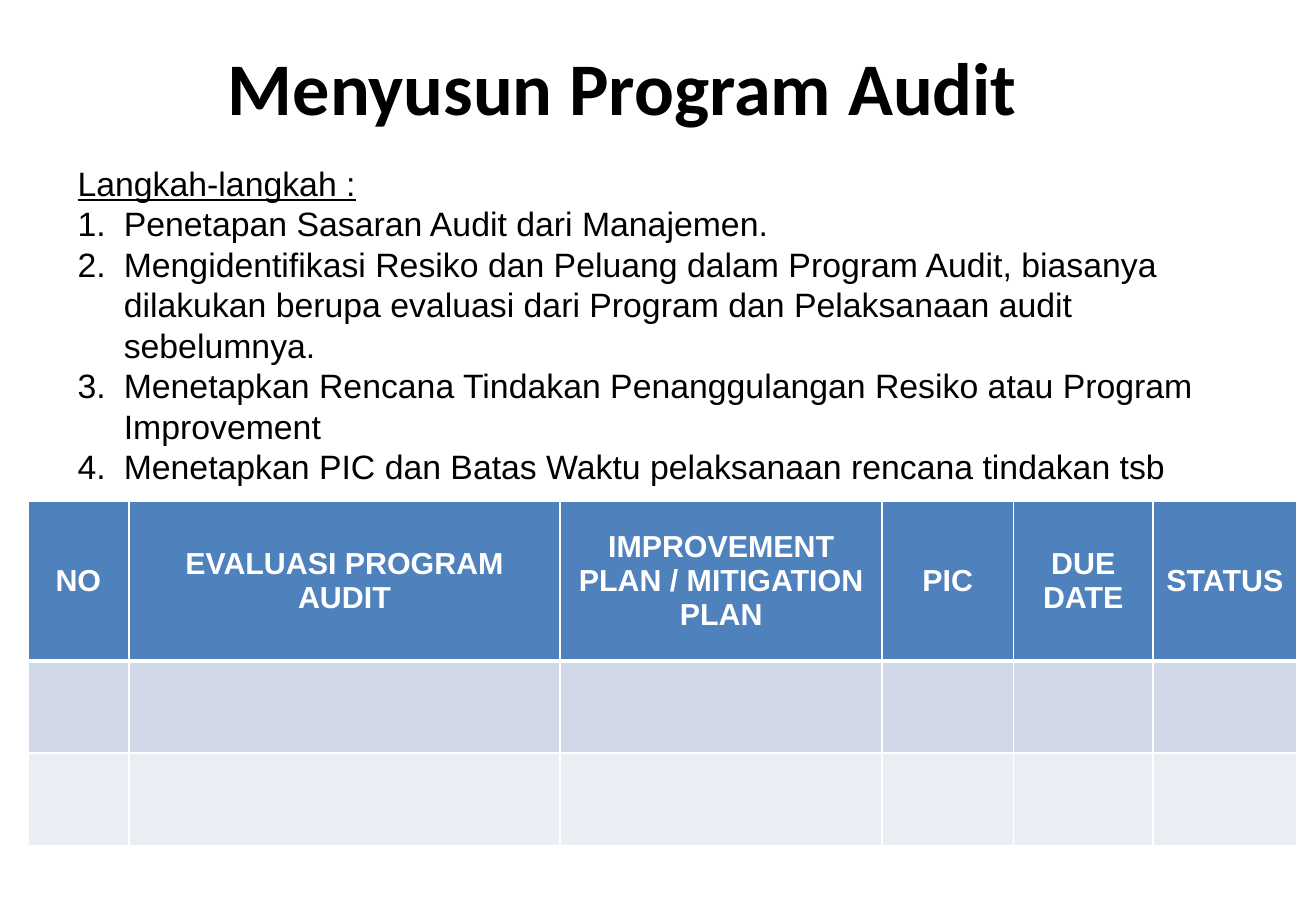
from dataclasses import dataclass

from lxml.etree import SubElement
from pptx import Presentation
from pptx.dml.color import RGBColor as Color
from pptx.enum.text import MSO_ANCHOR as Anchor, PP_ALIGN as Align
from pptx.oxml.ns import qn
from pptx.util import Inches, Pt


@dataclass(frozen=True)
class Theme:
    heading_font: str = "Calibri"
    body_font: str = "Arial"
    ink: str = "000000"
    paper: str = "FFFFFF"
    header: str = "4F81BD"
    bands: tuple = ("D0D8E8", "E9EDF4")
    title_size: int = 44
    body_size: int = 20
    header_size: int = 18
    rule: int = 1
    header_rule: int = 3


THEME = Theme()
SLIDE_SIZE = (10.83, 7.5)
TITLE_BOX = (0.54, -0.02, 9.31, 1.45)
STEPS_BOX = (0.54, 1.29, 9.58, 2.46)
TABLE_BOX = (0.23, 4.13, 10.44, 2.83)
NUMBER_INDENT = 0.38

TITLE = "Menyusun Program Audit "
STEPS_HEADING = "Langkah-langkah :"
STEPS = (
    "Penetapan Sasaran Audit dari Manajemen.",
    "Mengidentifikasi Resiko dan Peluang dalam Program Audit, biasanya dilakukan "
    "berupa evaluasi dari Program dan Pelaksanaan audit sebelumnya.",
    "Menetapkan Rencana Tindakan Penanggulangan Resiko atau Program Improvement",
    "Menetapkan PIC dan Batas Waktu pelaksanaan rencana tindakan tsb",
)
COLUMNS = {
    "NO": 0.83,
    "EVALUASI PROGRAM AUDIT": 3.55,
    "IMPROVEMENT PLAN / MITIGATION PLAN": 2.65,
    "PIC": 1.08,
    "DUE DATE": 1.15,
    "STATUS": 1.18,
}
ROW_HEIGHTS = (1.31, 0.76, 0.76)
HEADER_MARGIN = 0.09


def set_values(target, values):
    for name, value in values.items():
        setattr(target, name, value)


def write(paragraph, text, color, **font_values):
    paragraph.text = text
    font = paragraph.runs[0].font
    set_values(font, font_values)
    font.color.rgb = Color.from_string(color)


def number(paragraph):
    properties = paragraph._p.get_or_add_pPr()
    indent = Inches(NUMBER_INDENT)
    properties.set("marL", str(indent))
    properties.set("indent", str(-indent))
    SubElement(properties, qn("a:buFont"), typeface="+mj-lt")
    SubElement(properties, qn("a:buAutoNum"), type="arabicPeriod")


def draw_borders(cell, bottom_width):
    properties = cell._tc.get_or_add_tcPr()
    widths = {"L": THEME.rule, "R": THEME.rule, "T": THEME.rule, "B": bottom_width}
    for side, width in widths.items():
        line = SubElement(properties, qn(f"a:ln{side}"), w=str(Pt(width)))
        fill = SubElement(line, qn("a:solidFill"))
        SubElement(fill, qn("a:srgbClr"), val=THEME.paper)


def add_title(slide, box):
    title = slide.shapes.title
    set_values(title, dict(zip(("left", "top", "width", "height"), map(Inches, box))))
    frame = title.text_frame
    frame.vertical_anchor = Anchor.MIDDLE
    paragraph = frame.paragraphs[0]
    paragraph.alignment = Align.CENTER
    write(paragraph, TITLE, THEME.ink, name=THEME.heading_font,
          size=Pt(THEME.title_size), bold=True)


def add_steps(slide, box):
    frame = slide.shapes.add_textbox(*map(Inches, box)).text_frame
    frame.word_wrap = True
    style = {"name": THEME.body_font, "size": Pt(THEME.body_size)}
    write(frame.paragraphs[0], STEPS_HEADING, THEME.ink, underline=True, **style)
    for step in STEPS:
        paragraph = frame.add_paragraph()
        number(paragraph)
        write(paragraph, step, THEME.ink, **style)


def add_plan_table(slide, box):
    table = slide.shapes.add_table(len(ROW_HEIGHTS), len(COLUMNS), *map(Inches, box)).table
    for column, width in zip(table.columns, COLUMNS.values()):
        column.width = Inches(width)
    fills = (THEME.header, *THEME.bands)
    for index, (row, height, fill) in enumerate(zip(table.rows, ROW_HEIGHTS, fills)):
        row.height = Inches(height)
        for cell in row.cells:
            draw_borders(cell, THEME.rule if index else THEME.header_rule)
            cell.fill.solid()
            cell.fill.fore_color.rgb = Color.from_string(fill)
    header_format = {
        "vertical_anchor": Anchor.MIDDLE,
        "margin_left": Inches(HEADER_MARGIN),
        "margin_right": Inches(HEADER_MARGIN),
    }
    for cell, heading in zip(table.rows[0].cells, COLUMNS):
        set_values(cell, header_format)
        paragraph = cell.text_frame.paragraphs[0]
        paragraph.alignment = Align.CENTER
        write(paragraph, heading, THEME.paper, name=THEME.body_font,
              size=Pt(THEME.header_size), bold=True)


def main():
    presentation = Presentation()
    presentation.slide_width, presentation.slide_height = map(Inches, SLIDE_SIZE)
    slide = presentation.slides.add_slide(presentation.slide_layouts.get_by_name("Title Only"))
    add_title(slide, TITLE_BOX)
    add_steps(slide, STEPS_BOX)
    add_plan_table(slide, TABLE_BOX)
    presentation.save("out.pptx")


if __name__ == "__main__":
    main()
